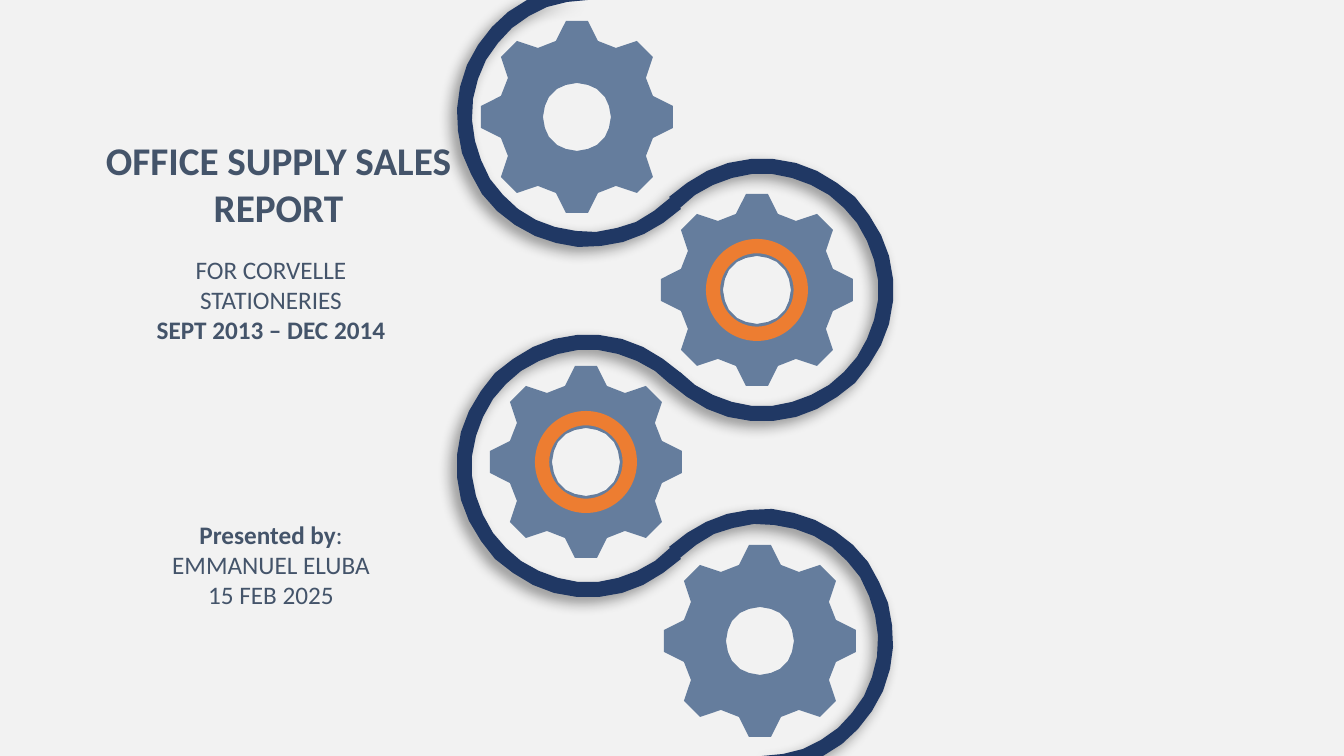
from math import asin, cos, degrees, radians, sin

from lxml.etree import SubElement
from pptx import Presentation
from pptx.dml.color import RGBColor
from pptx.enum.shapes import MSO_SHAPE as Shape
from pptx.enum.text import MSO_ANCHOR as Anchor, MSO_AUTO_SIZE as AutoSize, PP_ALIGN as Align
from pptx.oxml.ns import qn
from pptx.util import Pt

PX = 914400 / 100.8
WIDTH, HEIGHT = 1344, 756
FONT = "Calibri"
BACKGROUND, INK, NAVY, STEEL, ORANGE = "F2F2F2", "44546A", "203864", "657D9D", "ED7D31"

TITLE = [[("OFFICE SUPPLY SALES REPORT", True)]]
SUBTITLE = [[("FOR CORVELLE STATIONERIES", False)], [("SEPT 2013 – DEC 2014", True)]]
PRESENTER = [[("Presented by", True), (": EMMANUEL ELUBA", False)], [("15 FEB 2025", False)]]
TITLE_BOX = (69, 131, 419, 105)
SUBTITLE_BOX = (143, 249, 256, 102)
PRESENTER_BOX = (143, 514, 256, 132)

GEARS = [(577, 117, False), (757, 290, True), (586, 462, True), (760, 641, False)]
TEETH, TIP_RADIUS, BASE_RADIUS, HOLE_RADIUS, RING_RADIUS = 8, 97, 79, 34, 51
TIP_HALF_ANGLE, BASE_HALF_ANGLE = 6.6, 15.3

OUTER, INNER = 131, 116
CUT = degrees(asin(INNER / OUTER))
BENDS = [(588, 116, 270, 45), (762, 290, 225, 495), (588, 466, 315, 45), (762, 640, 225, 450)]


def emu(length):
    return round(length * PX)


def color(value):
    return RGBColor.from_string(value)


def arc(x, y, radius, start, end, steps):
    angles = [radians(start + (end - start) * step / steps) for step in range(steps + 1)]
    return [(x + radius * cos(angle), y + radius * sin(angle)) for angle in angles]


def paint(shape, fill):
    shape.shadow.inherit = False
    shape.fill.solid()
    shape.fill.fore_color.rgb = color(fill)
    shape.line.fill.background()


def add_outline(shapes, contours, fill):
    builder = shapes.build_freeform(*contours[0][0], scale=PX)
    for index, contour in enumerate(contours):
        if index:
            builder.move_to(*contour[0])
        builder.add_line_segments(contour[1:], close=True)
    shape = builder.convert_to_shape()
    paint(shape, fill)
    return shape


def ribbon_edge(first_radius, second_radius):
    points = []
    for index, (x, y, start, end) in enumerate(BENDS):
        radius = second_radius if index % 2 else first_radius
        if radius == OUTER and index == 0:
            start = 180 + CUT
        if radius == OUTER and index == len(BENDS) - 1:
            end = 360 + CUT
        points += arc(x, y, radius, start, end, round(abs(end - start) / 10))
    return points


def add_ribbon(shapes):
    edges = ribbon_edge(OUTER, INNER) + ribbon_edge(INNER, OUTER)[::-1]
    ribbon = add_outline(shapes, [edges], NAVY)
    effects = ribbon._element.spPr.find(qn("a:effectLst"))
    shadow = SubElement(effects, qn("a:outerShdw"), blurRad=str(Pt(10)), dist=str(Pt(6)),
                        dir="8100000", algn="ctr", rotWithShape="0")
    black = SubElement(shadow, qn("a:srgbClr"), val="000000")
    SubElement(black, qn("a:alpha"), val="40000")


def add_gear(shapes, x, y, ringed):
    pitch = 360 / TEETH
    rim = []
    for tooth in range(TEETH):
        middle = tooth * pitch
        rim += arc(x, y, BASE_RADIUS, middle - BASE_HALF_ANGLE, middle - BASE_HALF_ANGLE, 1)[:1]
        rim += arc(x, y, TIP_RADIUS, middle - TIP_HALF_ANGLE, middle + TIP_HALF_ANGLE, 1)
        rim += arc(x, y, BASE_RADIUS, middle + BASE_HALF_ANGLE, middle + BASE_HALF_ANGLE, 1)[:1]
    add_outline(shapes, [rim, arc(x, y, HOLE_RADIUS, 360, 0, 20)[:-1]], STEEL)
    if ringed:
        box = (x - RING_RADIUS, y - RING_RADIUS, 2 * RING_RADIUS, 2 * RING_RADIUS)
        ring = shapes.add_shape(Shape.DONUT, *map(emu, box))
        ring.adjustments[0] = 0.14
        paint(ring, ORANGE)


def write(shape, box, paragraphs, size):
    shape.left, shape.top, shape.width, shape.height = map(emu, box)
    frame = shape.text_frame
    frame.word_wrap = True
    frame.auto_size = AutoSize.SHAPE_TO_FIT_TEXT
    frame.vertical_anchor = Anchor.TOP
    for index, runs in enumerate(paragraphs):
        paragraph = frame.add_paragraph() if index else frame.paragraphs[0]
        paragraph.alignment = Align.CENTER
        paragraph.space_before = Pt(0)
        for text, bold in runs:
            run = paragraph.add_run()
            run.text = text
            run.font.name = FONT
            run.font.size = Pt(size)
            run.font.bold = bold
            run.font.color.rgb = color(INK)


def main():
    """Build the report cover with its ribbon of gears."""
    presentation = Presentation()
    presentation.slide_width, presentation.slide_height = emu(WIDTH), emu(HEIGHT)
    slide = presentation.slides.add_slide(presentation.slide_layouts[0])
    slide.background.fill.solid()
    slide.background.fill.fore_color.rgb = color(BACKGROUND)
    shapes = slide.shapes
    add_ribbon(shapes)
    for x, y, ringed in GEARS:
        add_gear(shapes, x, y, ringed)
    write(shapes.title, TITLE_BOX, TITLE, 28)
    write(slide.placeholders[1], SUBTITLE_BOX, SUBTITLE, 18)
    write(shapes.add_textbox(*map(emu, PRESENTER_BOX)), PRESENTER_BOX, PRESENTER, 18)
    presentation.save("out.pptx")


if __name__ == "__main__":
    main()
